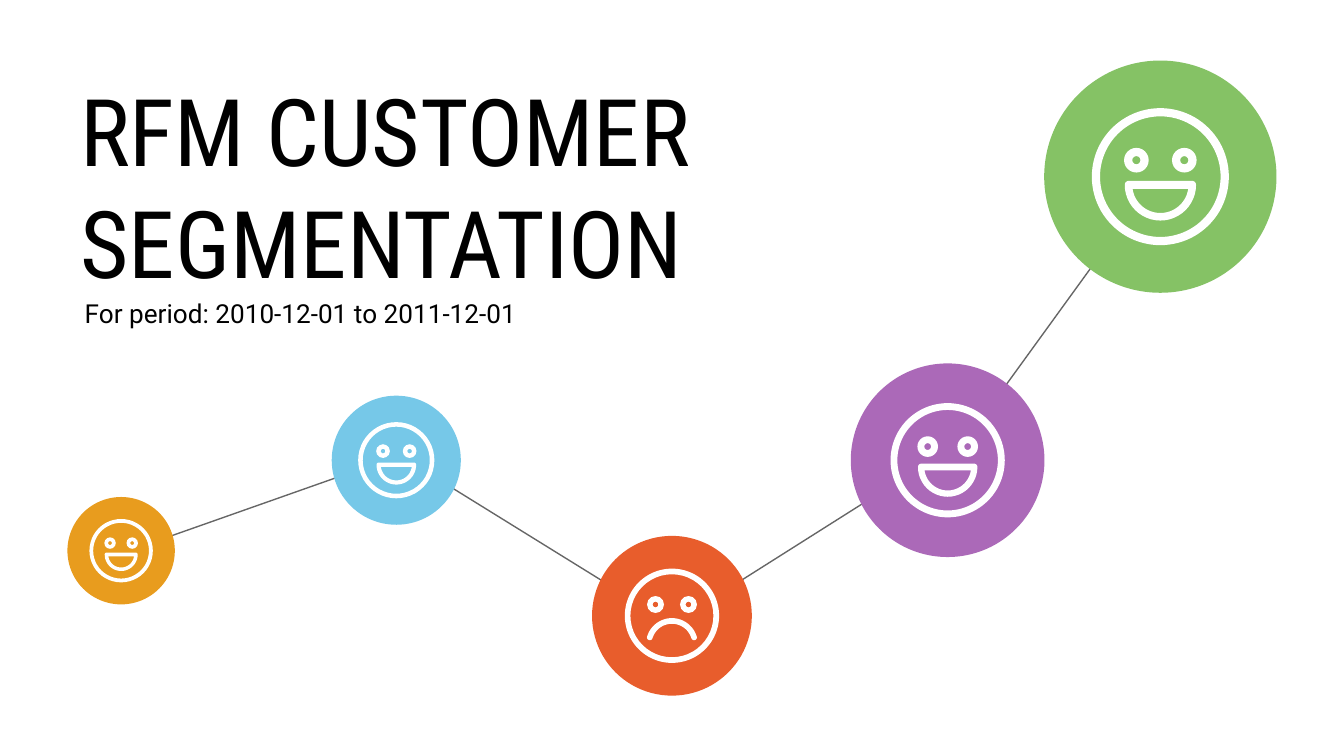
from math import cos, radians, sin

from lxml import etree
from pptx import Presentation
from pptx import util as u
from pptx.dml.color import RGBColor
from pptx.enum import shapes, text
from pptx.oxml import ns


def color(value):
    return RGBColor.from_string(value)


def arc(cx, cy, radius, start, end, steps=24):
    """Points along an arc, in degrees clockwise from the right."""
    angles = [radians(start + (end - start) * i / steps) for i in range(steps + 1)]
    return [(cx + radius * cos(a), cy + radius * sin(a)) for a in angles]


# Mouth outlines, measured in face radii from the centre of the face
SMILE = [
    arc(0, 0.12, 0.52, 0, 180)
    + arc(-0.46, 0.12, 0.06, 180, 270, 6)
    + arc(0.46, 0.12, 0.06, 270, 360, 6),
    arc(0, 0.12, 0.41, 8, 172),
]
FROWN = [
    arc(0, 0.6, 0.55, 197, 343)
    + arc(0.47, 0.46, 0.06, 343, 523, 8)
    + arc(0, 0.6, 0.43, 343, 197)
    + arc(-0.47, 0.46, 0.06, 17, 197, 8),
]


class Deck:
    INK = "000000"
    LINE = "666666"
    FACE = "FFFFFF"
    FACE_RATIO = 0.59

    def __init__(self, width, height):
        self.prs = Presentation()
        self.prs.slide_width, self.prs.slide_height = u.Cm(width), u.Cm(height)
        self.s = self.prs.slides.add_slide(self.prs.slide_layouts[6])

    def paint(self, sp, fill):
        sp.shadow.inherit = False
        sp.fill.solid()
        sp.fill.fore_color.rgb = color(fill)
        sp.line.fill.background()

    def label(self, words, x, y, w, h, font, size):
        tf = self.s.shapes.add_textbox(u.Cm(x), u.Cm(y), u.Cm(w), u.Cm(h)).text_frame
        tf.word_wrap = True
        tf.vertical_anchor = text.MSO_ANCHOR.TOP
        tf.margin_left = tf.margin_right = u.Cm(0.25)
        tf.margin_top = tf.margin_bottom = u.Cm(0.25)
        p = tf.paragraphs[0]
        p.text = words
        r = p.runs[0]
        r.font.name, r.font.size = font, u.Pt(size)
        r.font.color.rgb = color(self.INK)

    def link(self, x1, y1, x2, y2):
        sp = self.s.shapes.add_connector(
            shapes.MSO_CONNECTOR.STRAIGHT, u.Cm(x1), u.Cm(y1), u.Cm(x2), u.Cm(y2))
        sp.line.color.rgb = color(self.LINE)
        sp.line.width = u.Pt(0.75)
        etree.SubElement(sp._element.spPr, ns.qn("a:effectLst"))

    def disc(self, cx, cy, radius, fill, kind=shapes.MSO_SHAPE.OVAL):
        sp = self.s.shapes.add_shape(
            kind, u.Cm(cx - radius), u.Cm(cy - radius), u.Cm(2 * radius), u.Cm(2 * radius))
        self.paint(sp, fill)
        return sp

    def ring(self, cx, cy, radius, thickness):
        sp = self.disc(cx, cy, radius, self.FACE, shapes.MSO_SHAPE.DONUT)
        sp.adjustments[0] = thickness / (2 * radius)

    def mouth(self, cx, cy, radius, contours):
        placed = [[(u.Cm(cx + radius * x), u.Cm(cy + radius * y)) for x, y in c]
                  for c in contours]
        builder = self.s.shapes.build_freeform(*placed[0][0])
        for i, points in enumerate(placed):
            if i:
                builder.move_to(*points[0])
            builder.add_line_segments(points[1:], close=True)
        self.paint(builder.convert_to_shape(), self.FACE)

    def face(self, cx, cy, diameter, fill, contours):
        self.disc(cx, cy, diameter / 2, fill)
        radius = diameter / 2 * self.FACE_RATIO
        stroke = 0.12 * radius
        self.ring(cx, cy, radius, stroke)
        for side in (-1, 1):
            self.ring(cx + side * 0.35 * radius, cy - 0.24 * radius, 0.18 * radius, stroke)
        self.mouth(cx, cy, radius, contours)


def main():
    deck = Deck(25.4, 14.29)

    # Title and period
    deck.label("RFM CUSTOMER SEGMENTATION", 1.27, 1.14, 16, 4.57, "Roboto Condensed", 50)
    deck.label("For period: 2010-12-01 to 2011-12-01", 1.35, 5.38, 11.43, 0.94, "Roboto", 14)

    # Links between neighbouring segments, behind the faces
    for ends in [
        (21.67, 3.61, 18.14, 8.48),
        (17.6, 8.7, 12.95, 11.64),
        (12.45, 11.64, 7.7, 8.7),
        (7.29, 8.7, 2.44, 10.41),
    ]:
        deck.link(*ends)

    # Customer segments: centre, diameter, colour, mood
    for segment in [
        (2.29, 10.41, 2.03, "E89C1E", SMILE),
        (7.49, 8.7, 2.44, "76C8E8", SMILE),
        (12.7, 11.64, 3.02, "E85D2C", FROWN),
        (17.91, 8.7, 3.66, "AB69B8", SMILE),
        (21.93, 3.34, 4.39, "85C265", SMILE),
    ]:
        deck.face(*segment)

    deck.prs.save("out.pptx")


if __name__ == "__main__":
    main()
